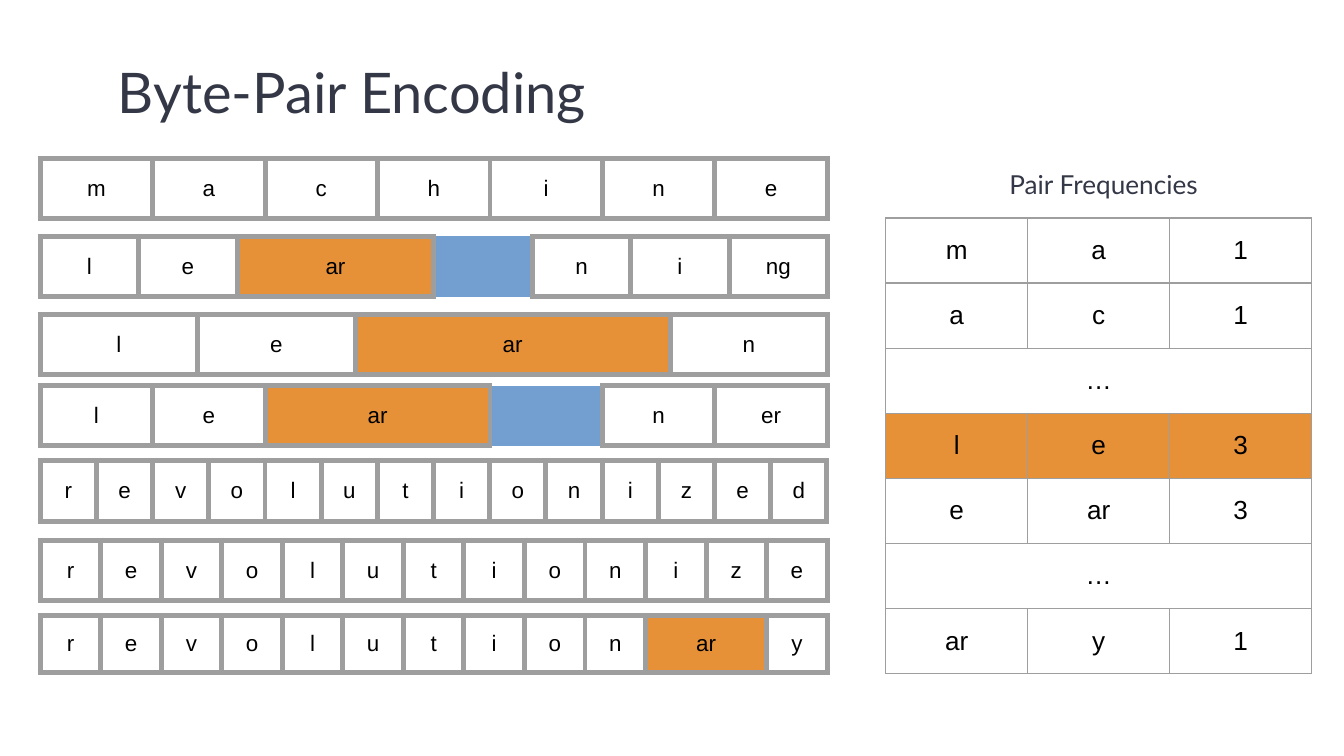
"""Build the Byte-Pair Encoding slide with its token rows and pair frequencies."""
from lxml import etree
from pptx import Presentation
from pptx.dml.color import RGBColor
from pptx.enum.text import MSO_ANCHOR, PP_ALIGN
from pptx.oxml.ns import qn
from pptx.util import Cm, Pt

CENTER = PP_ALIGN.CENTER
LEFT = PP_ALIGN.LEFT
MIDDLE = MSO_ANCHOR.MIDDLE
TOP = MSO_ANCHOR.TOP
TITLE_ONLY = 5
PLAIN_TABLE = "{2D5ABB26-0587-4C30-8999-92F81FD0307C}"
INSET = Cm(0.25)

TOKEN_ROWS = [
    (3.0, 1.14, "m a c h i n e"),
    (4.47, 1.14, "l e ar n i n g"),
    (5.94, 1.14, "l e ar n"),
    (7.29, 1.14, "l e ar n e r"),
    (8.71, 1.14, "r e v o l u t i o n i z e d"),
    (10.21, 1.14, "r e v o l u t i o n i z e"),
    (11.63, 1.09, "r e v o l u t i o n ar y"),
]
PAIRS = ["m a 1", "a c 1", "…", "l e 3", "e ar 3", "…", "ar y 1"]
MOST_FREQUENT = 3


def color(value):
    return RGBColor.from_string(value)


class PairSlide:
    """Hold the style and the current page, and add each kind of element."""

    ink = "333746"
    black = "000000"
    grid = "9E9E9E"
    highlight = "E69138"
    heading_font = "Lato"
    cell_font = "Arial"

    def __init__(self, page):
        self.page = page

    def add_span(self, para, text, size, font, ink, align):
        para.alignment = align
        span = para.add_run()
        span.text = text
        span.font.size = Pt(size)
        span.font.name = font
        span.font.color.rgb = color(ink)

    def heading(self, box, text, size, align):
        frame = box.text_frame
        frame.word_wrap = True
        frame.vertical_anchor = TOP
        frame.margin_left = frame.margin_right = INSET
        frame.margin_top = frame.margin_bottom = INSET
        para = frame.paragraphs[0]
        para.line_spacing = 1.15
        self.add_span(para, text, size, self.heading_font, self.ink, align)

    def title(self, left, top, width, height, text):
        box = self.page.shapes.title
        box.left, box.top, box.width, box.height = map(Cm, (left, top, width, height))
        self.heading(box, text, 30, LEFT)

    def caption(self, left, top, width, height, text):
        box = self.page.shapes.add_textbox(*map(Cm, (left, top, width, height)))
        self.heading(box, text, 14, CENTER)

    def table(self, rows, columns, left, top, width, height):
        frame = self.page.shapes.add_table(rows, columns, *map(Cm, (left, top, width, height)))
        table = frame.table
        table.first_row = table.horz_banding = False
        frame._element.find(".//" + qn("a:tableStyleId")).text = PLAIN_TABLE
        for column in table.columns:
            column.width = Cm(width / columns)
        return table

    def borders(self, cell, weight):
        properties = cell._tc.get_or_add_tcPr()
        for position, side in enumerate(("lnL", "lnR", "lnT", "lnB")):
            line = etree.Element(qn("a:" + side), w=str(Pt(weight)))
            fill = etree.SubElement(line, qn("a:solidFill"))
            etree.SubElement(fill, qn("a:srgbClr"), val=self.grid)
            properties.insert(position, line)

    def cell(self, cell, text, size, weight, marked):
        cell.vertical_anchor = MIDDLE
        cell.margin_left = cell.margin_right = INSET
        cell.margin_top = cell.margin_bottom = INSET
        if marked:
            cell.fill.solid()
            cell.fill.fore_color.rgb = color(self.highlight)
        else:
            cell.fill.background()
        self.borders(cell, weight)
        para = cell.text_frame.paragraphs[0]
        self.add_span(para, text, size, self.cell_font, self.black, CENTER)

    def token_row(self, top, height, tokens):
        table = self.table(1, sum(map(len, tokens)), 0.76, top, 14.88, height)
        column = 0
        for token in tokens:
            cell = table.cell(0, column)
            merged = len(token) > 1
            if merged:
                cell.merge(table.cell(0, column + len(token) - 1))
            self.cell(cell, token, 12, 3, merged)
            column += len(token)

    def pair_table(self, left, top, width, height):
        table = self.table(len(PAIRS), 3, left, top, width, height)
        for row, pair in enumerate(PAIRS):
            values = pair.split()
            if len(values) == 1:
                table.cell(row, 0).merge(table.cell(row, 2))
            for column, value in enumerate(values):
                self.cell(table.cell(row, column), value, 14, 0.75, row == MOST_FREQUENT)


def main():
    deck = Presentation()
    deck.slide_width, deck.slide_height = Cm(25.4), Cm(14.29)
    slide = PairSlide(deck.slides.add_slide(deck.slide_layouts[TITLE_ONLY]))
    slide.title(1.98, 0.64, 21.08, 1.96, "Byte-Pair Encoding")
    for top, height, word in TOKEN_ROWS:
        slide.token_row(top, height, word.split())
    slide.pair_table(16.74, 4.12, 8.05, 8.61)
    slide.caption(18.36, 2.84, 5.0, 1.12, "Pair Frequencies")
    deck.save("out.pptx")


if __name__ == "__main__":
    main()
